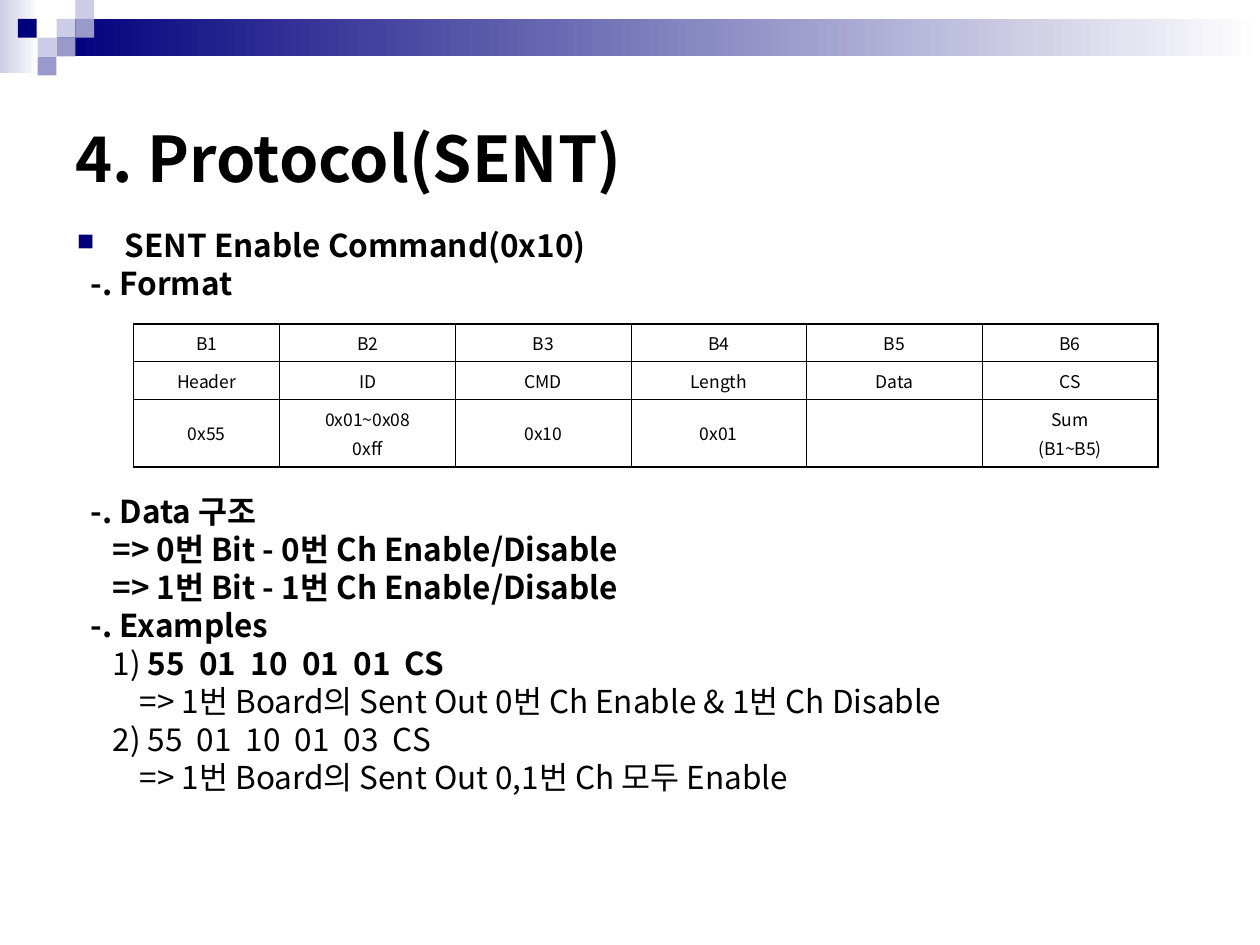
from lxml import etree
from pptx import Presentation, util as u
from pptx.dml.color import RGBColor
from pptx.enum import shapes, text
from pptx.oxml.ns import qn

FONT = "Noto Sans CJK KR"
BLACK = RGBColor(0x00, 0x00, 0x00)
WHITE = RGBColor(0xFF, 0xFF, 0xFF)
NAVY = RGBColor(0x00, 0x00, 0x7D)
LILAC = RGBColor(0xCC, 0xCC, 0xE6)
VIOLET = RGBColor(0x99, 0x99, 0xCC)

TITLE = "4. Protocol(SENT)"

# Each line: indent level, then (words, bold) runs
HEAD_LINES = [
    ("bullet", [("SENT Enable Command(0x10)", True)]),
    ("item", [("-. Format", True)]),
]
DETAIL_LINES = [
    ("item", [("-. Data 구조", True)]),
    ("sub", [("=> 0번 Bit - 0번 Ch Enable/Disable", True)]),
    ("sub", [("=> 1번 Bit - 1번 Ch Enable/Disable", True)]),
    ("item", [("-. Examples", True)]),
    ("sub", [("1) ", False), ("55  01  10  01  01  CS", True)]),
    ("note", [("=> 1번 Board의 Sent Out 0번 Ch Enable & 1번 Ch Disable", False)]),
    ("sub", [("2) 55  01  10  01  03  CS", False)]),
    ("note", [("=> 1번 Board의 Sent Out 0,1번 Ch 모두 Enable", False)]),
]
INDENT = {"bullet": 0.97, "item": 0.28, "sub": 0.72, "note": 1.27}  # cm

FORMAT_ROWS = [
    ["B1", "B2", "B3", "B4", "B5", "B6"],
    ["Header", "ID", "CMD", "Length", "Data", "CS"],
    ["0x55", "0x01~0x08\n0xff", "0x10", "0x01", "", "Sum\n(B1~B5)"],
]
COL_WIDTHS = [2.95] + [3.54] * 5
ROW_HEIGHTS = [0.76, 0.76, 1.37]

UNIT = 0.38  # side of a header square, cm
BANDS = [  # left, top, width, height, left colour
    (0, 0, 0.79, 1.47, LILAC),
    (1.14, UNIT, 24.26, 0.76, NAVY),
]
SQUARES = [  # column, row, colour
    (3, 1, LILAC), (4, 0, LILAC), (4, 1, VIOLET), (2, 2, LILAC),
    (0.95, 1, NAVY), (3, 2, VIOLET), (2, 3, VIOLET),
]


def add_text(p, words, size=18, bold=False, color=BLACK):
    r = p.add_run()
    r.text = words
    r.font.size, r.font.bold, r.font.name = u.Pt(size), bold, FONT
    r.font.color.rgb = color
    etree.SubElement(r.font._element, qn("a:ea"), typeface=FONT)


def add_box(slide, left, top, width, height, anchor=text.MSO_ANCHOR.TOP):
    sp = slide.shapes.add_textbox(*map(u.Cm, (left, top, width, height)))
    tf = sp.text_frame
    tf.word_wrap, tf.vertical_anchor = True, anchor
    return tf


def add_rect(slide, left, top, width, height, color, fade=False):
    """Add a borderless rectangle; fade runs from color to white, left to right."""
    sp = slide.shapes.add_shape(shapes.MSO_SHAPE.RECTANGLE,
                                *map(u.Cm, (left, top, width, height)))
    sp.shadow.inherit = False
    sp.line.fill.background()
    if fade:
        sp.fill.gradient()
        sp.fill.gradient_angle = 0
        for stop, c in zip(sp.fill.gradient_stops, (color, WHITE)):
            stop.color.rgb = c
    else:
        sp.fill.solid()
        sp.fill.fore_color.rgb = color


def add_lines(tf, lines):
    for i, (level, runs) in enumerate(lines):
        p = tf.paragraphs[0] if i == 0 else tf.add_paragraph()
        p.line_spacing = u.Pt(21.75)
        pPr = p._p.get_or_add_pPr()
        pPr.set("marL", str(u.Cm(INDENT[level])))
        if level == "bullet":
            pPr.set("indent", str(-u.Cm(INDENT[level])))
            clr = etree.SubElement(pPr, qn("a:buClr"))
            etree.SubElement(clr, qn("a:srgbClr"), val=str(NAVY))
            etree.SubElement(pPr, qn("a:buSzPct"), val="75000")
            etree.SubElement(pPr, qn("a:buChar"), char="■")
        for words, bold in runs:
            add_text(p, words, bold=bold)


def set_borders(cell, outer):
    """Draw the four cell borders, thicker on the sides named in outer."""
    tcPr = cell._tc.get_or_add_tcPr()
    for i, side in enumerate("LRTB"):
        width = u.Pt(1.08 if side in outer else 0.45)
        ln = etree.Element(qn("a:ln" + side), w=str(width))
        fill = etree.SubElement(ln, qn("a:solidFill"))
        etree.SubElement(fill, qn("a:srgbClr"), val=str(BLACK))
        tcPr.insert(i, ln)


def add_format_table(slide, left, top):
    n_rows, n_cols = len(ROW_HEIGHTS), len(COL_WIDTHS)
    table = slide.shapes.add_table(
        n_rows, n_cols, u.Cm(left), u.Cm(top),
        u.Cm(sum(COL_WIDTHS)), u.Cm(sum(ROW_HEIGHTS))).table
    table.first_row = table.horz_banding = False
    for col, width in zip(table.columns, COL_WIDTHS):
        col.width = u.Cm(width)
    for y, (row, height) in enumerate(zip(FORMAT_ROWS, ROW_HEIGHTS)):
        table.rows[y].height = u.Cm(height)
        for x, words in enumerate(row):
            cell = table.cell(y, x)
            cell.fill.background()
            cell.vertical_anchor = text.MSO_ANCHOR.MIDDLE
            edges = {"L": x == 0, "R": x == n_cols - 1,
                     "T": y == 0, "B": y == n_rows - 1}
            set_borders(cell, [side for side, on in edges.items() if on])
            for i, line in enumerate(words.split("\n") if words else []):
                tf = cell.text_frame
                p = tf.add_paragraph() if i else tf.paragraphs[0]
                p.alignment = text.PP_ALIGN.CENTER
                p.space_before = u.Pt(2.5)
                add_text(p, line, size=10)


def main():
    prs = Presentation()
    prs.slide_width, prs.slide_height = u.Cm(25.4), u.Cm(19.05)
    slide = prs.slides.add_slide(prs.slide_layouts[6])
    for band in BANDS:
        add_rect(slide, *band, fade=True)
    for col, row, color in SQUARES:
        add_rect(slide, col * UNIT, row * UNIT, UNIT, UNIT, color)
    tf = add_box(slide, 1.27, 1.27, 22.86, 3.81, text.MSO_ANCHOR.MIDDLE)
    add_text(tf.paragraphs[0], TITLE, size=36, bold=True)
    add_lines(add_box(slide, 1.3, 4.42, 22.4, 1.8), HEAD_LINES)
    add_format_table(slide, 2.69, 6.53)
    add_lines(add_box(slide, 1.3, 9.79, 22.4, 6.4), DETAIL_LINES)
    prs.save("out.pptx")


if __name__ == "__main__":
    main()
